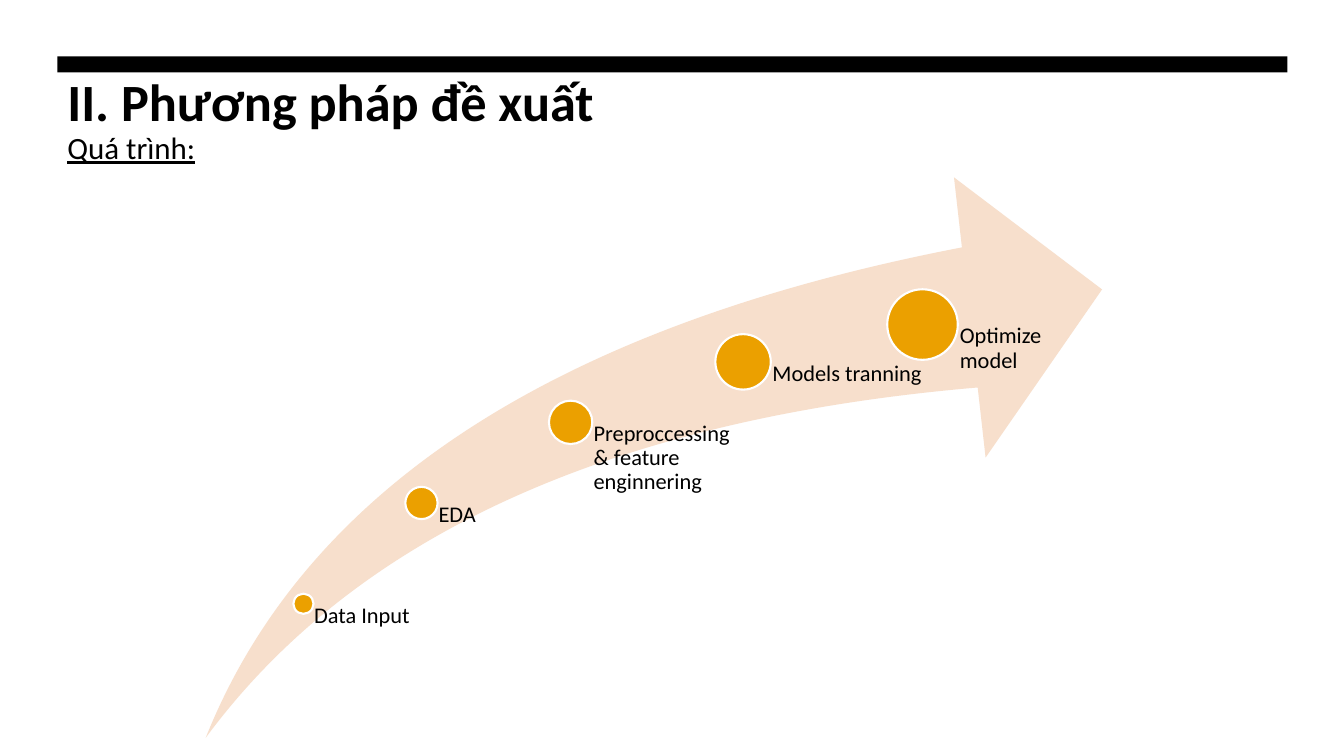
from pptx import Presentation
from pptx.dml.color import RGBColor
from pptx.enum import shapes, text
from pptx.util import Inches, Pt

FONT = "Calibri"
BASE = 7.32  # shared lower edge of the arrow and its labels

# centre x, centre y, diameter, label width, label
STEPS = [
    (3.01, 5.99, 0.2, 1.16, "Data Input"),
    (4.18, 4.99, 0.32, 1.48, "EDA"),
    (5.66, 4.19, 0.43, 1.72, "Preproccessing & feature enginnering"),
    (7.37, 3.59, 0.55, 1.78, "Models tranning"),
    (9.15, 3.22, 0.7, 1.78, "Optimize model"),
]


def color(code):
    return RGBColor.from_string(code)


def shape(slide, kind, box, fill, line=None):
    item = slide.shapes.add_shape(kind, *map(Inches, box))
    item.shadow.inherit = False
    item.fill.solid()
    item.fill.fore_color.rgb = color(fill)
    if line:
        item.line.color.rgb = color(line)
        item.line.width = Pt(1.5)
    else:
        item.line.fill.background()
    return item


def write(slide, box, lines, space, **frame):
    """Add a text box; each line is a pair of wording and font values."""
    body = slide.shapes.add_textbox(*map(Inches, box)).text_frame
    body.word_wrap = True
    for name, value in frame.items():
        setattr(body, name, value)
    for i, (words, style) in enumerate(lines):
        para = body.add_paragraph() if i else body.paragraphs[0]
        para.line_spacing = space
        para.space_after = Pt(6)
        run = para.add_run()
        run.text = words
        run.font.color.rgb = color("000000")
        for name, value in {"name": FONT, **style}.items():
            setattr(run.font, name, value)


def header(slide, left, top):
    # Black rule above the heading
    shape(slide, shapes.MSO_SHAPE.RECTANGLE, (left, top, 12.2, 0.16), "000000")
    # Heading and subheading
    lines = [
        ("II. Phương pháp đề xuất", {"size": Pt(37.4), "bold": True}),
        ("Quá trình:", {"size": Pt(22.1), "underline": True}),
    ]
    write(slide, (left, top + 0.22, 10.36, 0.93), lines, 0.7,
          vertical_anchor=text.MSO_ANCHOR.MIDDLE)


def process(slide, left, top, width):
    # Rising arrow
    arrow = shape(slide, shapes.MSO_SHAPE.SWOOSH_ARROW,
                  (left, top, width, BASE - top), "F7DFCC")
    arrow.adjustments[0] = arrow.adjustments[1] = 0.25
    # Each label starts at the centre of its dot, inset past the rim
    for x, y, size, wide, label in STEPS:
        half = size / 2
        shape(slide, shapes.MSO_SHAPE.OVAL, (x - half, y - half, size, size),
              "EBA000", "FFFFFF")
        write(slide, (x, y, wide, BASE - y), [(label, {"size": Pt(16)})], 0.9,
              margin_left=Inches(half * 1.06), margin_top=0,
              margin_right=0, margin_bottom=0)


def main():
    deck = Presentation()
    deck.slide_width, deck.slide_height = Inches(13.33), Inches(7.5)
    slide = deck.slides.add_slide(deck.slide_layouts[6])
    header(slide, 0.57, 0.56)
    process(slide, 2.04, 1.76, 8.89)
    deck.save("out.pptx")


if __name__ == "__main__":
    main()
